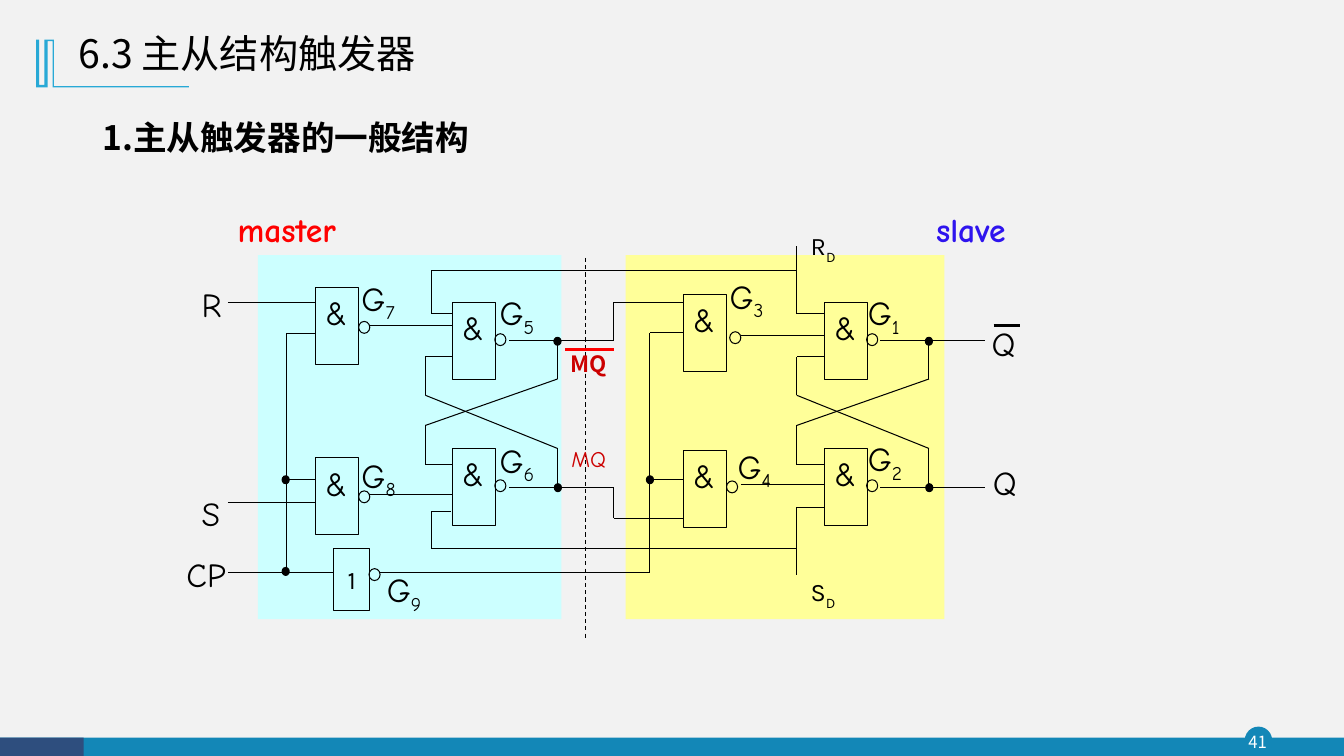
from itertools import pairwise
from lxml.etree import SubElement
from pptx import Presentation
from pptx.dml.color import RGBColor
from pptx.enum.dml import MSO_LINE
from pptx.enum.shapes import MSO_CONNECTOR, MSO_SHAPE
from pptx.enum.text import MSO_ANCHOR, PP_ALIGN
from pptx.oxml.ns import qn
from pptx.util import Cm, Pt

CJK, HAND, SANS = "Noto Sans CJK SC", "Comic Neue", "Karla"


def paint(shape, fill=None, line=None, width=0.75):
    shape.shadow.inherit = False
    if fill:
        shape.fill.solid()
        shape.fill.fore_color.rgb = RGBColor.from_string(fill)
    else:
        shape.fill.background()
    if line:
        shape.line.color.rgb = RGBColor.from_string(line)
        shape.line.width = Pt(width)
    else:
        shape.line.fill.background()


def write(shape, text, subscript="", font=HAND, size=24, color="000000", bold=False,
          align=PP_ALIGN.LEFT, anchor=MSO_ANCHOR.TOP, wrap=True, inset=0.25, spacing=1.0):
    frame = shape.text_frame
    frame.word_wrap = wrap
    frame.vertical_anchor = anchor
    frame.margin_left = Cm(inset)
    frame.margin_right = 0
    paragraph = frame.paragraphs[0]
    paragraph.alignment = align
    paragraph.line_spacing = spacing
    for content in filter(None, (text, subscript)):
        run = paragraph.add_run()
        run.text = content
        run.font.name = font
        run.font.size = Pt(size)
        run.font.bold = bold
        run.font.color.rgb = RGBColor.from_string(color)
        properties = run.font._element
        SubElement(properties, qn("a:ea")).set("typeface", font)
    if subscript:
        properties.set("baseline", "-25000")


presentation = Presentation()
presentation.slide_width = Cm(33.87)
presentation.slide_height = Cm(19.05)
slide = presentation.slides.add_slide(presentation.slide_layouts[6])
slide.background.fill.solid()
slide.background.fill.fore_color.rgb = RGBColor.from_string("F2F2F2")
shapes = slide.shapes

blocks = [
    (MSO_SHAPE.OVAL, 31.37, 18.31, 0.69, 0.69, "1387B7"),
    (MSO_SHAPE.RECTANGLE, 0, 18.59, 33.87, 0.46, "1387B7"),
    (MSO_SHAPE.RECTANGLE, 0, 18.59, 2.11, 0.46, "2E4E7E"),
    (MSO_SHAPE.RECTANGLE, 15.77, 6.43, 8.03, 9.17, "FFFF99"),
    (MSO_SHAPE.RECTANGLE, 6.5, 6.43, 7.65, 9.17, "CCFFFF"),
]
for kind, left, top, width, height, color in blocks:
    block = shapes.add_shape(kind, Cm(left), Cm(top), Cm(width), Cm(height))
    paint(block, color)

ornament_points = [
    (1.36, 1), (1.36, 2.17), (4.76, 2.17), (4.76, 2.2), (1.33, 2.2), (1.33, 1.04),
    (1.2, 1.04), (1.2, 2.2), (0.91, 2.2), (0.91, 1), (0.99, 1), (0.99, 2.14),
    (1.12, 2.14), (1.12, 1),
]
corners = [(Cm(x), Cm(y)) for x, y in ornament_points]
builder = shapes.build_freeform(*corners[0])
builder.add_line_segments(corners[1:])
paint(builder.convert_to_shape(), "28A9D6")

gates = [
    ("1", 20.78, 7.62, 21.84, 8.41, 21.62, 7.24),
    ("2", 20.78, 11.3, 21.84, 12.09, 21.62, 10.92),
    ("3", 17.22, 7.42, 18.39, 8.36, 18.14, 6.83),
    ("4", 17.22, 11.35, 18.31, 12.12, 18.34, 11.1),
    ("5", 11.4, 7.62, 12.47, 8.41, 12.34, 7.24),
    ("6", 11.4, 11.3, 12.47, 12.09, 12.34, 10.95),
    ("7", 7.95, 7.24, 9.04, 8.1, 8.86, 6.88),
    ("8", 7.95, 11.53, 9.04, 12.37, 8.86, 11.33),
    ("9", 8.41, 13.82, 9.3, 14.33, 9.5, 14.22),
]
gate_shapes = {}
for number, left, top, bubble_left, bubble_top, label_left, label_top in gates:
    inverter = number == "9"
    width, height = (0.91, 1.57) if inverter else (1.08, 1.94)
    gate = shapes.add_shape(MSO_SHAPE.RECTANGLE, Cm(left), Cm(top), Cm(width), Cm(height))
    paint(gate, line="000000")
    if inverter:
        write(gate, "1", font=SANS, size=18, align=PP_ALIGN.CENTER,
              anchor=MSO_ANCHOR.MIDDLE, wrap=False, inset=0)
    else:
        write(gate, "&", wrap=False)
    gate_shapes[number] = gate
    bubble = shapes.add_shape(MSO_SHAPE.OVAL, Cm(bubble_left), Cm(bubble_top), Cm(0.28), Cm(0.3))
    paint(bubble, line="000000")
    label = shapes.add_textbox(Cm(label_left), Cm(label_top), Cm(1.47), Cm(1.27))
    write(label, "G", number)

latch_wires = [
    [(12.83, 8.59), (15.47, 8.59)],
    [(12.83, 12.29), (15.47, 12.29)],
    [(11.4, 8.99), (10.72, 8.99), (10.72, 9.96), (14.05, 11.3), (14.05, 12.29)],
    [(11.4, 11.71), (10.72, 11.71), (10.72, 10.72), (14.05, 9.55), (14.05, 8.59)],
]
wires = [
    [(x + shift, y) for x, y in wire] for shift in (0, 9.36) for wire in latch_wires
] + [
    [(5.74, 7.62), (7.95, 7.62)],
    [(5.74, 12.67), (7.95, 12.67)],
    [(5.74, 14.43), (8.41, 14.43)],
    [(7.95, 8.41), (7.21, 8.41), (7.21, 14.43)],
    [(7.21, 12.09), (7.95, 12.09)],
    [(9.3, 8.2), (11.4, 8.2)],
    [(9.3, 12.47), (11.4, 12.47)],
    [(15.47, 8.59), (15.47, 7.62), (17.22, 7.62)],
    [(15.47, 12.29), (15.47, 13.06), (17.22, 13.06)],
    [(9.58, 14.43), (16.38, 14.43), (16.38, 8.39), (17.22, 8.39)],
    [(16.38, 12.09), (17.22, 12.09)],
    [(18.67, 8.46), (20.78, 8.46)],
    [(18.67, 12.22), (20.78, 12.22)],
    [(20.78, 7.9), (20.07, 7.9), (20.07, 6.2)],
    [(20.78, 12.8), (20.07, 12.8), (20.07, 14.5)],
    [(20.07, 6.81), (10.87, 6.81), (10.87, 7.9), (11.4, 7.9)],
    [(20.07, 13.82), (10.87, 13.82), (10.87, 12.9), (11.36, 12.9)],
]
segments = [(*pair, "000000", 0.75) for wire in wires for pair in pairwise(wire)]
divider = ((14.76, 6.5), (14.76, 16.08), "000000", 0.75)
segments += [
    divider,
    ((14.25, 8.81), (15.47, 8.81), "FF0000", 2),
    ((25.04, 8.2), (25.7, 8.2), "000000", 2),
]
for segment in segments:
    start, end, color, width = segment
    connector = shapes.add_connector(
        MSO_CONNECTOR.STRAIGHT, Cm(start[0]), Cm(start[1]), Cm(end[0]), Cm(end[1]))
    connector.line.color.rgb = RGBColor.from_string(color)
    connector.line.width = Pt(width)
    if segment == divider:
        connector.line.dash_style = MSO_LINE.DASH
    if end == (17.22, 8.39):
        connector.end_connect(gate_shapes["3"], 1)
    SubElement(connector._element.spPr, qn("a:effectLst"))

junctions = [(14.05, 8.6), (14.06, 12.29), (23.41, 8.6), (23.42, 12.29),
             (7.2, 12.09), (7.2, 14.4), (16.38, 12.09)]
for x, y in junctions:
    junction = shapes.add_shape(MSO_SHAPE.OVAL, Cm(x - 0.09), Cm(y - 0.1), Cm(0.18), Cm(0.2))
    paint(junction, "000000", "000000")

centered = dict(align=PP_ALIGN.CENTER, anchor=MSO_ANCHOR.MIDDLE, wrap=False, inset=0)
supply = dict(font=SANS, size=18, subscript="D", **centered)
texts = [
    ("41", 31.29, 18.31, 0.81, 0.79, dict(font=CJK, size=12, color="FFFFFF", **centered)),
    ("6.3 主从结构触发器", 1.73, 0.53, 20.4, 1.73,
     dict(font=CJK, size=28, anchor=MSO_ANCHOR.MIDDLE, spacing=0.9)),
    ("1.主从触发器的一般结构", 2.13, 2.82, 12.75, 1.5, dict(font=CJK, bold=True, inset=0.45)),
    ("R", 4.83, 7.04, 1.37, 1.27, {}),
    ("S", 4.83, 12.29, 1.37, 1.27, {}),
    ("CP", 4.45, 13.84, 1.75, 1.27, {}),
    ("master", 5.74, 5.13, 4.78, 1.27, dict(color="FF0000", bold=True)),
    ("slave", 23.34, 5.13, 2.95, 1.27, dict(color="2E14EE", bold=True)),
    ("Q", 24.74, 8, 1.3, 1.27, {}),
    ("Q", 24.77, 11.51, 1.83, 1.27, {}),
    ("MQ", 14.12, 8.69, 1.65, 0.94, dict(font=CJK, size=16, color="CC0000", bold=True)),
    ("MQ", 14.15, 11.1, 2.24, 0.94, dict(size=16, color="CC0000")),
    ("R", 20.07, 5.61, 1.35, 1.27, supply),
    ("S", 20.07, 14.33, 1.35, 1.27, supply),
]
for text, left, top, width, height, style in texts:
    box = shapes.add_textbox(Cm(left), Cm(top), Cm(width), Cm(height))
    write(box, text, **style)

presentation.save("out.pptx")
